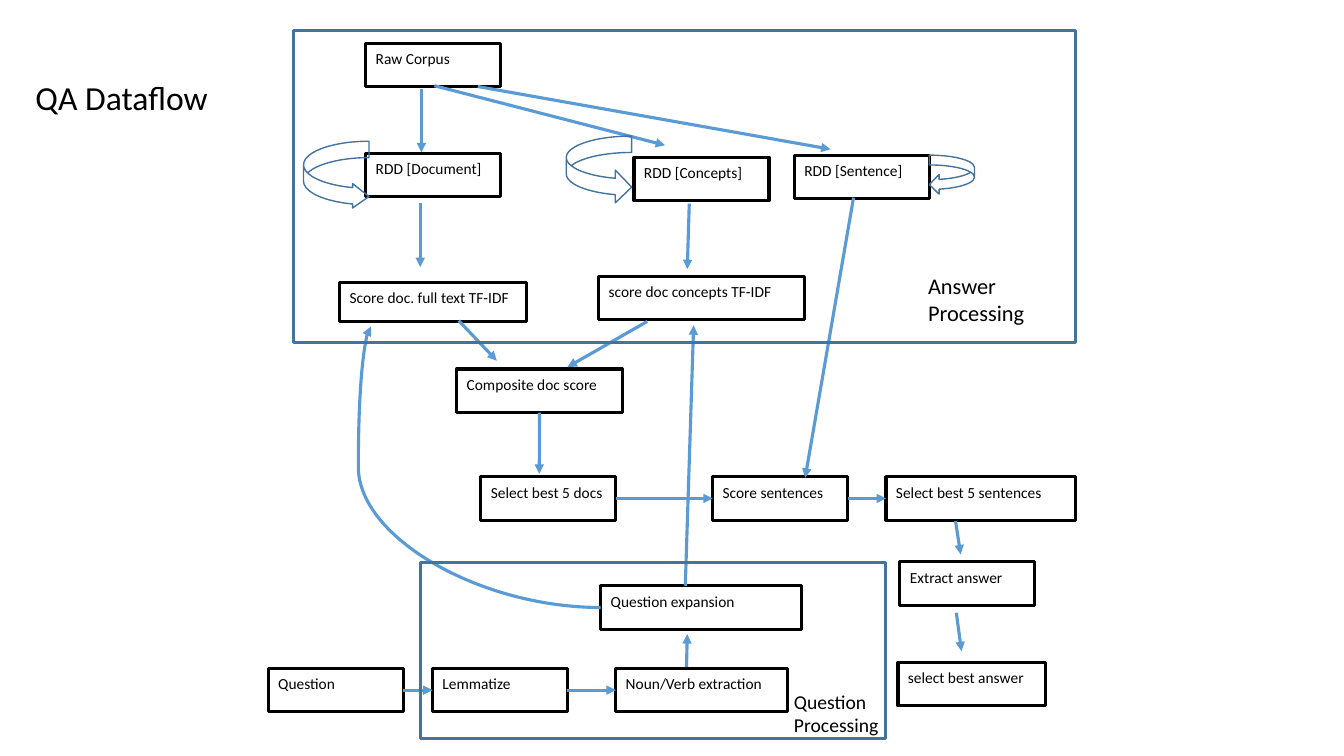
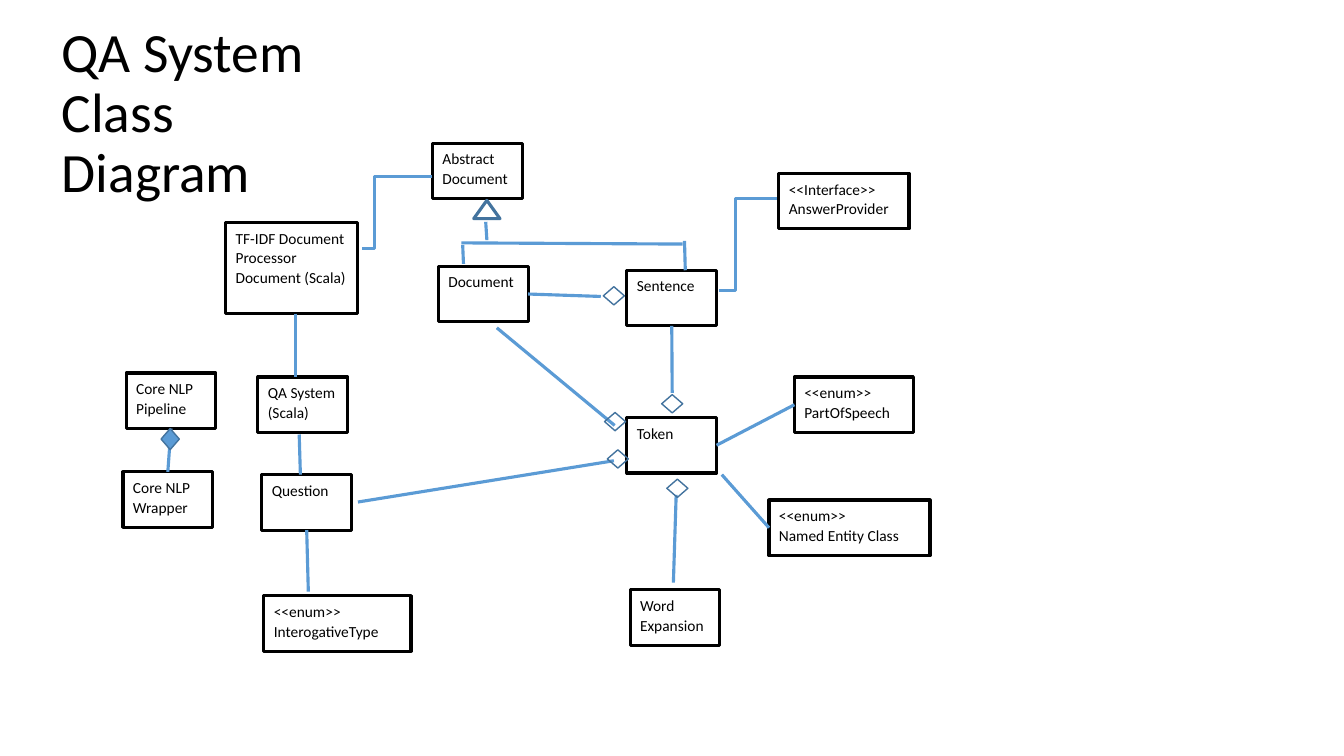
import lxml.etree
import pptx
import pptx.dml.color
import pptx.enum.shapes
import pptx.enum.text
import pptx.oxml.ns
import pptx.util

Cm, Pt = pptx.util.Cm, pptx.util.Pt
RGBColor = pptx.dml.color.RGBColor
SHAPE = pptx.enum.shapes.MSO_SHAPE
CONNECTOR = pptx.enum.shapes.MSO_CONNECTOR
ANCHOR = pptx.enum.text.MSO_ANCHOR
qn = pptx.oxml.ns.qn

BLACK = RGBColor(0x00, 0x00, 0x00)
WHITE = RGBColor(0xFF, 0xFF, 0xFF)
BLUE = RGBColor(0x5B, 0x9B, 0xD5)
DARK_BLUE = RGBColor(0x43, 0x73, 0x9E)
FONT = "Calibri"
TOP, LEFT, BOTTOM, RIGHT = range(4)


class Diagram:
    """Holds the shared style and draws elements on the current slide."""

    def __init__(self):
        self.deck = pptx.Presentation()
        self.deck.slide_width, self.deck.slide_height = Cm(33.87), Cm(19.05)
        self.slide = None

    def set_text(self, frame, text, size, anchor=ANCHOR.TOP, spacing=1.0, after=0):
        frame.word_wrap = True
        frame.auto_size = pptx.enum.text.MSO_AUTO_SIZE.NONE
        frame.vertical_anchor = anchor
        for index, line in enumerate(text.split("\n")):
            paragraph = frame.paragraphs[0] if index == 0 else frame.add_paragraph()
            paragraph.alignment = pptx.enum.text.PP_ALIGN.LEFT
            paragraph.line_spacing = spacing
            paragraph.space_before = paragraph.space_after = Pt(0)
            run = paragraph.add_run()
            run.text = line
            run.font.name, run.font.size = FONT, Pt(size)
            run.font.color.rgb = BLACK
        paragraph.space_after = Pt(after)

    def new_slide(self, text, x, y, width, height, size):
        self.slide = self.deck.slides.add_slide(self.deck.slide_layouts[5])
        title = self.slide.shapes.title
        title.left, title.top = Cm(x), Cm(y)
        title.width, title.height = Cm(width), Cm(height)
        self.set_text(title.text_frame, text, size, ANCHOR.MIDDLE, 0.9)

    def shape(self, kind, x, y, width, height, line=DARK_BLUE, weight=1, fill=None):
        shape = self.slide.shapes.add_shape(kind, Cm(x), Cm(y), Cm(width), Cm(height))
        shape.shadow.inherit = False
        shape.line.color.rgb, shape.line.width = line, Pt(weight)
        if fill is None:
            shape.fill.background()
        else:
            shape.fill.solid()
            shape.fill.fore_color.rgb = fill
        return shape

    def box(self, text, x, y, width, height):
        box = self.shape(SHAPE.RECTANGLE, x, y, width, height, BLACK, 2.25, WHITE)
        self.set_text(box.text_frame, text, 11, spacing=1.07, after=8)
        return box

    def boxes(self, rows, width, height):
        return {row[0]: self.box(*row, *(width, height)[len(row) - 3:]) for row in rows}

    def region(self, x, y, width, height):
        self.shape(SHAPE.RECTANGLE, x, y, width, height, weight=2.25)

    def label(self, text, x, y, width, height, size):
        label = self.slide.shapes.add_textbox(Cm(x), Cm(y), Cm(width), Cm(height))
        self.set_text(label.text_frame, text, size)

    def diamond(self, x, y, rotation=90, fill=None):
        self.shape(SHAPE.DIAMOND, x, y, 0.46, 0.53, fill=fill).rotation = rotation

    def link(self, start, end, arrow=False, kind=CONNECTOR.STRAIGHT, bend=None):
        """Join two ends, each a point in cm or a pair of box and side."""
        is_point = [isinstance(place[0], (int, float)) for place in (start, end)]
        points = [place if point else (0, 0) for place, point in zip((start, end), is_point)]
        link = self.slide.shapes.add_connector(
            kind, *(Cm(value) for point in points for value in point))
        if not is_point[0]:
            link.begin_connect(*start)
        if not is_point[1]:
            link.end_connect(*end)
        link.line.color.rgb, link.line.width = BLUE, Pt(2.25)
        properties = link.element.spPr
        if arrow:
            lxml.etree.SubElement(properties.find(qn("a:ln")), qn("a:tailEnd"), type="triangle")
        if bend is not None:
            guides = properties.find(qn("a:prstGeom")).find(qn("a:avLst"))
            lxml.etree.SubElement(
                guides, qn("a:gd"), name="adj1", fmla=f"val {round(bend * 100000)}")
        lxml.etree.SubElement(properties, qn("a:effectLst"))

    def links(self, ends, arrow=False):
        for start, end in ends:
            self.link(start, end, arrow)


def draw_dataflow(diagram):
    diagram.new_slide("QA Dataflow", 0.64, 1.88, 6.12, 1.27, 24)
    selection_y, question_y = 12.01, 16.84
    step = diagram.boxes([
        ("Raw Corpus", 9.22, 1.09),
        ("RDD [Document]", 9.22, 3.86),
        ("RDD [Concepts]", 15.98, 3.96),
        ("RDD [Sentence]", 20.02, 3.91),
        ("Score doc. full text TF-IDF", 8.56, 7.11, 4.72, 1),
        ("score doc concepts TF-IDF", 15.09, 6.96, 5.18),
        ("Composite doc score", 11.51, 9.3, 4.17),
        ("Select best 5 docs", 12.12, selection_y),
        ("Score sentences", 17.96, selection_y),
        ("Select best 5 sentences", 22.33, selection_y, 4.78),
        ("Question expansion", 15.14, 14.76, 5.05),
        ("Question", 6.76, question_y),
        ("Lemmatize", 10.9, question_y),
        ("Noun/Verb extraction", 15.52, question_y, 4.32),
        ("Extract answer", 22.68, 14.15),
        ("select best answer", 22.63, 16.69, 3.71),
    ], 3.4, 1.1)
    diagram.links([
        ((10.62, 2.24), (10.62, 3.84)),
        ((10.95, 2.16), (16.76, 3.66)),
        ((12.04, 2.18), (20.93, 3.76)),
        ((10.59, 5.11), (10.59, 6.73)),
        ((17.37, 5.13), (17.32, 6.78)),
        ((21.51, 4.98), (20.29, 12.04)),
        ((11.56, 8.08), (12.52, 9.09)),
        ((16.31, 8.1), (14.3, 9.25)),
        ((step["Composite doc score"], BOTTOM), (13.59, 11.94)),
        ((24.08, 13.13), (24.21, 13.97)),
        ((24.1, 15.44), (24.23, 16.41)),
        ((17.27, 14.76), (17.48, 8.2)),
        ((17.3, 16.81), (17.32, 15.98)),
    ], arrow=True)
    for chain in (("Select best 5 docs", "Score sentences", "Select best 5 sentences"),
                  ("Question", "Lemmatize", "Noun/Verb extraction")):
        diagram.links([((step[a], RIGHT), (step[b], LEFT))
                       for a, b in zip(chain, chain[1:])], arrow=True)
    diagram.link((step["Question expansion"], LEFT), (9.35, 8.23), True,
                 CONNECTOR.CURVE, 1.055)
    document_loop = diagram.shape(SHAPE.CURVED_RIGHT_ARROW, 7.65, 3.56, 1.65, 1.7)
    document_loop.adjustments[1] = 0.371
    diagram.shape(SHAPE.CURVED_RIGHT_ARROW, 14.27, 3.43, 1.65, 1.7)
    diagram.shape(SHAPE.CURVED_LEFT_ARROW, 23.42, 3.91, 1.14, 0.99)
    diagram.region(7.39, 0.76, 19.71, 7.87)
    diagram.region(10.59, 14.17, 11.73, 4.45)
    diagram.label("Question Processing", 19.76, 17.25, 2.79, 1.45, 14)
    diagram.label("Answer Processing", 23.14, 6.73, 3.1, 1.63, 16)


def draw_classes(diagram):
    diagram.new_slide("QA System Class Diagram", 1.3, 1.04, 7.82, 3.68, 39.6)
    entity = diagram.boxes([
        ("Abstract Document", 10.9, 3.61),
        ("TF-IDF Document Processor Document (Scala)", 5.69, 5.61, 3.33, 2.29),
        ("Core NLP Pipeline", 3.18, 9.4),
        ("Core NLP Wrapper", 3.1, 11.89),
        ("QA System\n(Scala)", 6.5, 9.5),
        ("Question", 6.6, 11.96),
        ("<<enum>>\nInterogativeType", 6.65, 15.01, 3.71),
        ("Document", 11.05, 6.71),
        ("<<Interface>>\nAnswerProvider", 19.63, 4.37, 3.28),
        ("Sentence", 15.8, 6.81),
        ("Token", 15.8, 10.52),
        ("Word Expansion", 15.88, 14.86),
        ("<<enum>>\nPartOfSpeech", 20.02, 9.5, 3),
        ("<<enum>>\nNamed Entity Class", 19.38, 12.6, 4.06),
    ], 2.26, 1.4)
    diagram.links([
        ((entity["Sentence"], BOTTOM), (16.94, 9.9)),
        ((11.66, 6.17), (11.68, 6.65)),
        ((17.25, 6.07), (17.27, 6.81)),
        ((11.63, 6.12), (17.2, 6.15)),
        ((12.24, 5.59), (12.27, 6.05)),
        ((7.77, 14.91), (entity["Question"], BOTTOM)),
        ((entity["Core NLP Pipeline"], BOTTOM), (entity["Core NLP Wrapper"], TOP)),
        ((15.49, 10.72), (12.52, 8.26)),
        ((entity["<<enum>>\nPartOfSpeech"], LEFT), (entity["Token"], RIGHT)),
        ((entity["<<enum>>\nNamed Entity Class"], LEFT), (18.19, 11.96)),
        ((16.97, 14.68), (17.04, 12.47)),
        ((9.02, 12.65), (15.47, 11.61)),
        ((7.44, 7.9), (7.44, 9.5)),
        ((7.54, 10.95), (7.57, 11.96)),
        ((entity["Document"], RIGHT), (15.14, 7.47)),
    ])
    diagram.link((10.9, 4.45), (9.12, 6.27), kind=CONNECTOR.ELBOW, bend=0.816)
    diagram.link((19.58, 5), (18.11, 7.32), kind=CONNECTOR.ELBOW, bend=0.71)
    for x, y in ((15.27, 10.36), (15.34, 11.3), (16.71, 9.91), (16.84, 12.04), (15.24, 7.19)):
        diagram.diamond(x, y)
    diagram.diamond(4.06, 10.8, rotation=0, fill=BLUE)
    diagram.shape(SHAPE.FLOWCHART_EXTRACT, 11.94, 5.05, 0.66, 0.46, weight=2.25)


def main():
    diagram = Diagram()
    draw_dataflow(diagram)
    draw_classes(diagram)
    diagram.deck.save("out.pptx")


if __name__ == "__main__":
    main()
